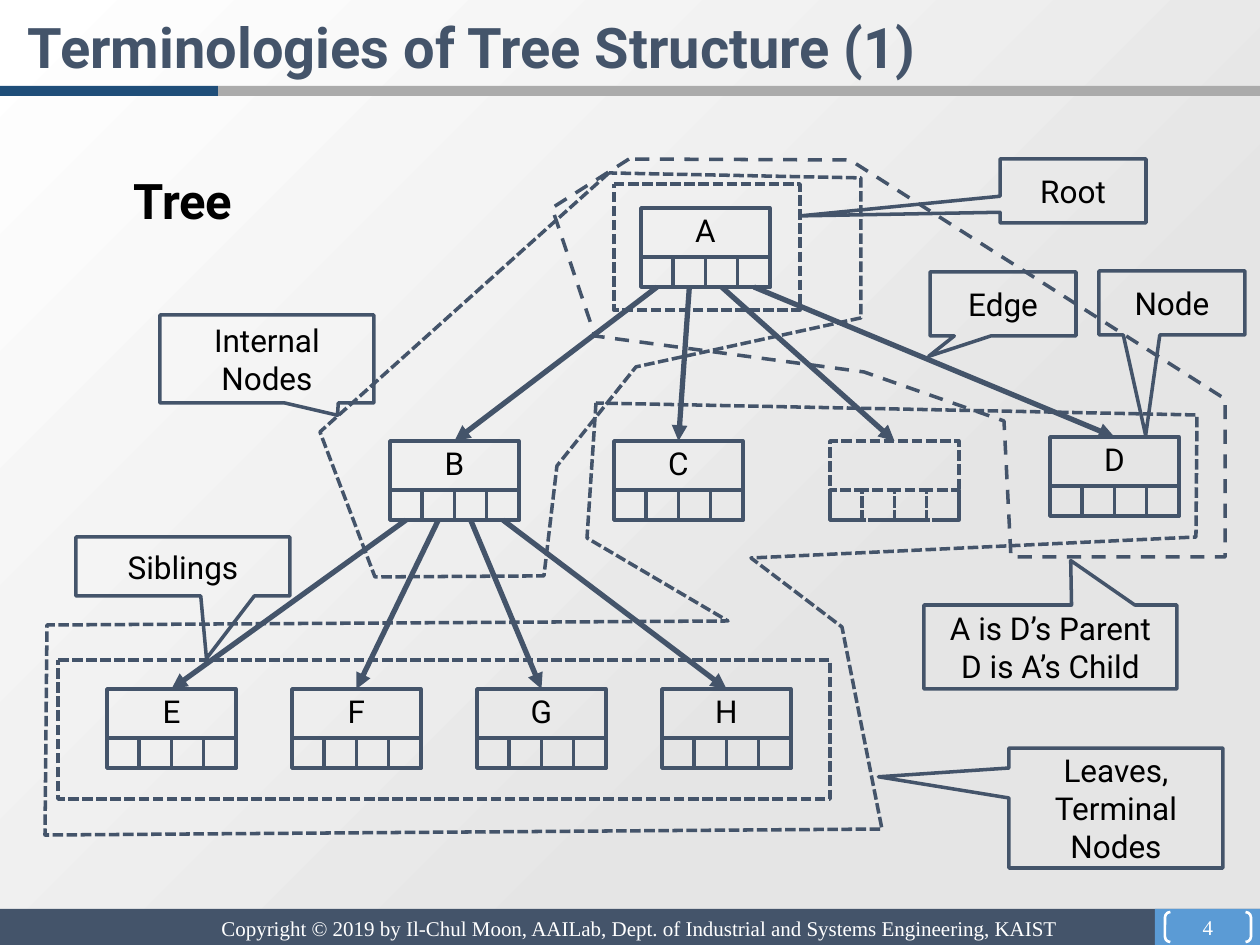
import lxml.etree
import pptx
import pptx.dml.color
import pptx.enum.dml
import pptx.enum.shapes
import pptx.enum.text
import pptx.oxml.ns
import pptx.util

SCALE = 914400 / 126
COLORS = {"slate": "44546A", "blue": "5B9BD5", "navy": "1F4E79", "gray": "ABABAB",
          "white": "FFFFFF", "black": "000000", "haze": "E5E5E5"}
SHAPES = pptx.enum.shapes.MSO_SHAPE
ALIGN = pptx.enum.text.PP_ALIGN
ANCHOR = pptx.enum.text.MSO_ANCHOR
DASHED = pptx.enum.dml.MSO_LINE.DASH
DOTTED = pptx.enum.dml.MSO_LINE.SQUARE_DOT
NODE_WIDTH, NODE_HEIGHT, CELL_TOP, CELL_COUNT = 129, 79, 49, 4
TREE = {"A": ["B", "C", "", "D"], "B": ["E", "F", "G", "H"]}
NODES = {"A": (641, 208), "B": (390, 441), "C": (614, 441), "": (830, 441), "D": (1050, 437)}
NODES.update({name: (107 + 185 * index, 689) for index, name in enumerate(TREE["B"])})
REGIONS = [
    (DASHED, [(629, 159), (552, 208), (595, 336), (864, 372), (1004, 421),
              (1011, 557), (1225, 557), (1225, 399), (850, 160)]),
    (DOTTED, [(596, 403), (587, 538), (728, 621), (47, 625), (45, 835),
              (882, 829), (842, 627), (751, 558), (1196, 537), (1197, 415)]),
    (DOTTED, [(609, 173), (320, 432), (375, 577), (544, 576), (557, 466),
              (636, 367), (861, 318), (861, 178)]),
    (DOTTED, [(58, 660), (830, 660), (830, 799), (58, 799)]),
    (DOTTED, [(614, 184), (800, 184), (800, 310), (614, 310)]),
]
CALLOUTS = [
    ("Root", (1000, 159, 146, 64), (-1.87, 0.39)),
    ("Leaves, Terminal Nodes", (1009, 748, 214, 120), (-1.11, -0.26)),
    ("Siblings", (76, 537, 214, 59), (0.11, 1.56)),
    ("Internal Nodes", (160, 315, 214, 88), (0.33, 0.64)),
    ("A is D’s Parent\nD is A’s Child", (924, 605, 253, 84), (0.08, -1.03)),
    ("Node", (1099, 271, 146, 64), (-0.18, 2.07)),
    ("Edge", (930, 272, 146, 64), (-0.51, 0.82)),
]


def px(length):
    """Turn pixels into EMU."""
    return pptx.util.Emu(round(length * SCALE))


def rgb(name):
    """Look up a named colour."""
    return pptx.dml.color.RGBColor.from_string(COLORS[name])


def write(shape, text, size, color="black", font="Roboto", bold=False, align=ALIGN.CENTER):
    """Set the text of a shape and format all its runs."""
    shape.text_frame.text = text
    for para in shape.text_frame.paragraphs:
        para.alignment = align
        for span in para.runs:
            span.font.name = font
            span.font.size = pptx.util.Pt(size)
            span.font.bold = bold
            span.font.color.rgb = rgb(color)


def outline(shape, color="slate", width=2, dash=None):
    """Leave a shape unfilled, with a plain or dashed outline."""
    shape.shadow.inherit = False
    shape.fill.background()
    shape.line.color.rgb = rgb(color)
    shape.line.width = pptx.util.Pt(width)
    if dash:
        shape.line.dash_style = dash


def add_outlined(shapes, kind, box, **style):
    """Add an outlined preset shape."""
    shape = shapes.add_shape(kind, *map(px, box))
    outline(shape, **style)
    return shape


def add_bar(page, box, color):
    """Add a filled bar without an outline."""
    bar = page.shapes.add_shape(SHAPES.RECTANGLE, *map(px, box))
    bar.shadow.inherit = False
    bar.fill.solid()
    bar.fill.fore_color.rgb = rgb(color)
    bar.line.fill.background()


def add_label(page, box, text, size, **style):
    """Add a single line of left-aligned text."""
    label = page.shapes.add_textbox(*map(px, box))
    label.text_frame.word_wrap = False
    write(label, text, size, align=ALIGN.LEFT, **style)


def add_background(page):
    """Shade the page diagonally from white to gray."""
    fill = page.background.fill
    fill.gradient()
    fill.gradient_angle = 135
    for stop, position, color in zip(fill.gradient_stops, (0.31, 1), ("haze", "white")):
        stop.position = position
        stop.color.rgb = rgb(color)


def add_header(page, left, top, width):
    """Place the title and the two-coloured rule below it."""
    title = page.shapes.title
    title.left, title.top, title.width, title.height = map(px, (left, top + 6, width - 59, 71))
    write(title, "Terminologies of Tree Structure (1)", 32, "slate", bold=True, align=ALIGN.LEFT)
    title.text_frame.vertical_anchor = ANCHOR.TOP
    title.text_frame.margin_left = px(28)
    add_bar(page, (left + 218, top + 86, width - 218, 10), "gray")
    add_bar(page, (left, top + 86, 218, 10), "navy")


def add_footer(page, left, top, width, height):
    """Place the copyright line and the page number."""
    add_bar(page, (left, top, width, height), "slate")
    add_bar(page, (left + width - 105, top, 105, height), "blue")
    add_label(page, (left + 209, top, 871, height),
              "Copyright © 2019 by Il-Chul Moon, AAILab, Dept. of Industrial and Systems "
              "Engineering, KAIST", 12, color="white", font="Times New Roman")
    number = add_outlined(page.shapes, SHAPES.DOUBLE_BRACKET,
                          (left + width - 95, top + 3, 86, 30), color="white", width=1.5)
    number.adjustments[0] = 0.18
    write(number, "4", 12, "white", "Times New Roman")
    number.text_frame.vertical_anchor = ANCHOR.MIDDLE
    number.text_frame.margin_top = number.text_frame.margin_bottom = 0


def add_node(page, name, left, top):
    """Draw a node and return its frame and its pointer cells."""
    dash = None if name else DOTTED
    group = page.shapes.add_group_shape()
    frame = add_outlined(group.shapes, SHAPES.RECTANGLE,
                         (left, top, NODE_WIDTH, NODE_HEIGHT), dash=dash)
    if name:
        write(frame, name, 18)
        frame.text_frame.vertical_anchor = ANCHOR.TOP
        frame.text_frame.margin_top = px(3)
    step = NODE_WIDTH / CELL_COUNT
    cells = [add_outlined(group.shapes, SHAPES.RECTANGLE,
                          (left + index * step, top + CELL_TOP, step, NODE_HEIGHT - CELL_TOP),
                          dash=dash)
             for index in range(CELL_COUNT)]
    return frame, cells


def add_edge(page, cell, child):
    """Join a pointer cell to the top of a child node."""
    edge = page.shapes.add_connector(pptx.enum.shapes.MSO_CONNECTOR.STRAIGHT, 0, 0, 0, 0)
    edge.begin_connect(cell, 2)
    edge.end_connect(child, 0)
    edge.line.color.rgb = rgb("slate")
    edge.line.width = pptx.util.Pt(3)
    qn = pptx.oxml.ns.qn
    lxml.etree.SubElement(edge.line._get_or_add_ln(), qn("a:tailEnd"), type="triangle")
    lxml.etree.SubElement(edge._element.spPr, qn("a:effectLst"))


def add_tree(page):
    """Draw all nodes and the edges between them."""
    nodes = {name: add_node(page, name, *place) for name, place in NODES.items()}
    for parent, children in TREE.items():
        for cell, child in zip(nodes[parent][1], children):
            add_edge(page, cell, nodes[child][0])


def add_region(page, dash, points):
    """Enclose part of the tree with a dashed polygon."""
    builder = page.shapes.build_freeform(*points[0], scale=SCALE)
    builder.add_line_segments(points[1:], close=True)
    outline(builder.convert_to_shape(), dash=dash)


def add_callout(page, text, box, pointer):
    """Add a callout whose tip lies at the given share of its size."""
    callout = add_outlined(page.shapes, SHAPES.RECTANGULAR_CALLOUT, box)
    callout.adjustments[0], callout.adjustments[1] = pointer
    write(callout, text, 18)
    callout.text_frame.word_wrap = True
    callout.text_frame.vertical_anchor = ANCHOR.MIDDLE


def main():
    """Build the deck."""
    deck = pptx.Presentation()
    deck.slide_width, deck.slide_height = px(1260), px(945)
    page = deck.slides.add_slide(deck.slide_layouts[5])
    add_background(page)
    add_header(page, 0, 0, 1260)
    add_footer(page, 0, 909, 1260, 36)
    add_label(page, (121, 164, 130, 72), "Tree", 28, bold=True)
    add_tree(page)
    for region in REGIONS:
        add_region(page, *region)
    for callout in CALLOUTS:
        add_callout(page, *callout)
    deck.save("out.pptx")


if __name__ == "__main__":
    main()
